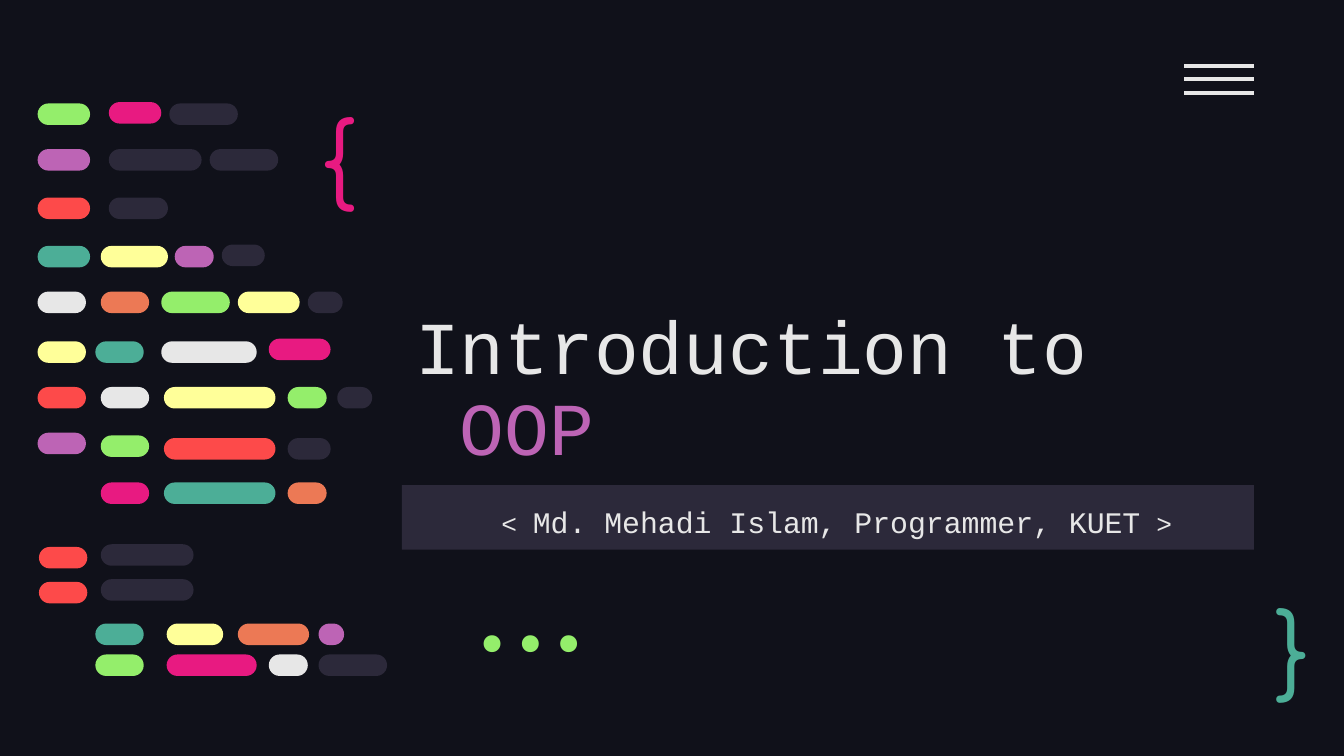
"""Build the dark, code-themed title slide of an introduction to OOP."""
from lxml import etree
from pptx import Presentation
from pptx.dml.color import RGBColor
from pptx.enum.shapes import MSO_CONNECTOR, MSO_SHAPE
from pptx.enum.text import MSO_ANCHOR, PP_ALIGN
from pptx.oxml.ns import qn
from pptx.util import Inches, Pt

SLIDE_WIDTH = 10
SLIDE_HEIGHT = SLIDE_WIDTH * 9 / 16
COLORS = {
    "night": "10111A", "slate": "2C293A", "white": "E7E7E7", "purple": "BD64B5",
    "pink": "E81A81", "teal": "4CAE97", "green": "94EE6B", "red": "FD4A4A",
    "yellow": "FFFF99", "orange": "EC7955",
}
CODE_FONT = "Courier New"
BRACE_FONT = "Comfortaa"
DOTS_FONT = "Fira Code"

TITLE = [[("Introduction to", 40, "white")], [(" OOP", 40, "purple")]]
AUTHOR = [[(" ", 16, "white"), ("< ", 14, "white"),
           ("Md. Mehadi Islam, Programmer, KUET", 16, "white"), (" >", 14, "white")]]
ORNAMENTS = [
    ((2.29, 0.62, 0.77, 0.95), "{", BRACE_FONT, "pink", MSO_ANCHOR.TOP, PP_ALIGN.LEFT),
    ((9.39, 4.38, 0.57, 0.83), "}", BRACE_FONT, "teal", MSO_ANCHOR.MIDDLE, PP_ALIGN.LEFT),
    ((3.11, 4.49, 1.58, 0.6), "...", DOTS_FONT, "green", MSO_ANCHOR.BOTTOM, PP_ALIGN.RIGHT),
]
PILL_HEIGHT = 0.16
CODE_ROWS = [
    (0.77, [(0.28, 0.39, "green"), (1.26, 0.51, "slate")]),
    (0.76, [(0.81, 0.39, "pink")]),
    (1.11, [(0.28, 0.39, "purple"), (0.81, 0.69, "slate"), (1.56, 0.51, "slate")]),
    (1.47, [(0.28, 0.39, "red"), (0.81, 0.44, "slate")]),
    (1.83, [(0.28, 0.39, "teal"), (0.75, 0.5, "yellow"), (1.3, 0.29, "purple")]),
    (1.82, [(1.65, 0.32, "slate")]),
    (2.17, [(0.28, 0.36, "white"), (0.75, 0.36, "orange"), (1.2, 0.51, "green"),
            (1.77, 0.46, "yellow"), (2.29, 0.26, "slate")]),
    (2.54, [(0.28, 0.36, "yellow"), (0.71, 0.36, "teal"), (1.2, 0.71, "white")]),
    (2.52, [(2, 0.46, "pink")]),
    (2.88, [(0.28, 0.36, "red"), (0.75, 0.36, "white"), (1.22, 0.83, "yellow"),
            (2.14, 0.29, "green"), (2.51, 0.26, "slate")]),
    (3.22, [(0.28, 0.36, "purple")]),
    (3.24, [(0.75, 0.36, "green")]),
    (3.26, [(1.22, 0.83, "red"), (2.14, 0.32, "slate")]),
    (3.59, [(0.75, 0.36, "pink"), (1.22, 0.83, "teal"), (2.14, 0.29, "orange")]),
    (4.07, [(0.29, 0.36, "red")]),
    (4.05, [(0.75, 0.69, "slate")]),
    (4.33, [(0.29, 0.36, "red")]),
    (4.31, [(0.75, 0.69, "slate")]),
    (4.64, [(0.71, 0.36, "teal"), (1.24, 0.42, "yellow"), (1.77, 0.53, "orange"),
            (2.37, 0.19, "purple")]),
    (4.87, [(0.71, 0.36, "green"), (1.24, 0.67, "pink"), (2, 0.29, "white"),
            (2.37, 0.51, "slate")]),
]
MENU_LEFT, MENU_RIGHT, MENU_TOP, MENU_GAP, MENU_BARS = 8.81, 9.33, 0.49, 0.1, 3


def rgb(name):
    return RGBColor.from_string(COLORS[name])


def add_filled(shapes, kind, box, color):
    shape = shapes.add_shape(kind, *map(Inches, box))
    shape.shadow.inherit = False
    shape.fill.solid()
    shape.fill.fore_color.rgb = rgb(color)
    shape.line.fill.background()
    return shape


def write(shape, paragraphs, font, anchor, align, spacing=1.0):
    frame = shape.text_frame
    frame.word_wrap = True
    frame.vertical_anchor = anchor
    frame.margin_left = frame.margin_right = Inches(0.1)
    frame.margin_top = frame.margin_bottom = Inches(0.1)
    for index, runs in enumerate(paragraphs):
        paragraph = frame.add_paragraph() if index else frame.paragraphs[0]
        paragraph.alignment = align
        paragraph.line_spacing = spacing
        for text, size, color in runs:
            run = paragraph.add_run()
            run.text = text
            run.font.name = font
            run.font.size = Pt(size)
            run.font.color.rgb = rgb(color)


def add_menu(shapes):
    menu = shapes.add_group_shape()
    for bar in range(MENU_BARS):
        y = Inches(MENU_TOP + bar * MENU_GAP)
        line = menu.shapes.add_connector(
            MSO_CONNECTOR.STRAIGHT, Inches(MENU_LEFT), y, Inches(MENU_RIGHT), y)
        line.line.color.rgb = rgb("white")
        line.line.width = Pt(2.25)
        etree.SubElement(line._element.spPr, qn("a:effectLst"))


def add_code(shapes):
    code = shapes.add_group_shape()
    for top, pills in CODE_ROWS:
        for left, width, color in pills:
            pill = add_filled(code.shapes, MSO_SHAPE.ROUNDED_RECTANGLE,
                              (left, top, width, PILL_HEIGHT), color)
            pill.adjustments[0] = 0.5


def main():
    deck = Presentation()
    deck.slide_width, deck.slide_height = Inches(SLIDE_WIDTH), Inches(SLIDE_HEIGHT)
    slide = deck.slides.add_slide(deck.slide_layouts[6])
    slide.background.fill.solid()
    slide.background.fill.fore_color.rgb = rgb("night")
    shapes = slide.shapes

    title = shapes.add_textbox(*map(Inches, (2.99, 1.38, 6.34, 2.23)))
    write(title, TITLE, CODE_FONT, MSO_ANCHOR.BOTTOM, PP_ALIGN.LEFT, 0.9)
    author = add_filled(shapes, MSO_SHAPE.RECTANGLE, (2.99, 3.61, 6.34, 0.48), "slate")
    write(author, AUTHOR, CODE_FONT, MSO_ANCHOR.TOP, PP_ALIGN.CENTER, 1.15)
    for box, text, font, color, anchor, align in ORNAMENTS:
        ornament = shapes.add_textbox(*map(Inches, box))
        write(ornament, [[(text, 50, color)]], font, anchor, align)

    add_menu(shapes)
    add_code(shapes)
    deck.save("out.pptx")


if __name__ == "__main__":
    main()
